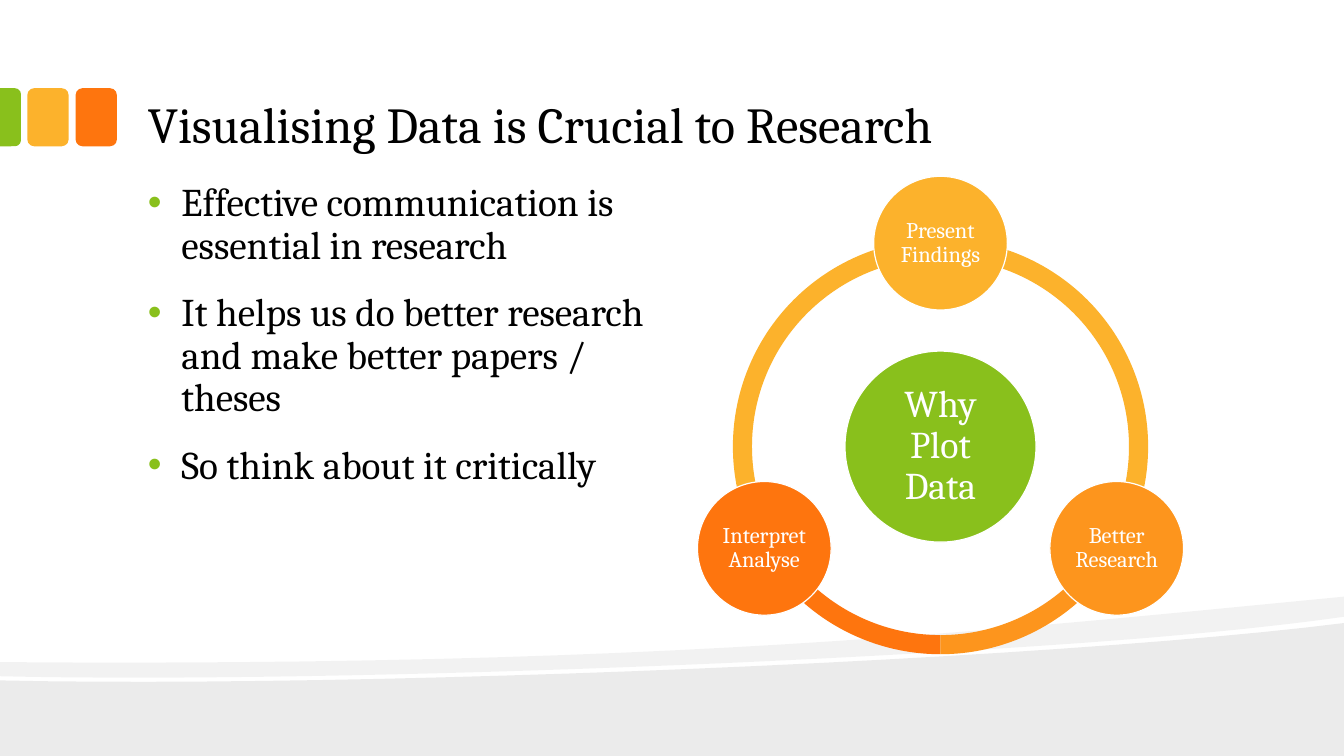
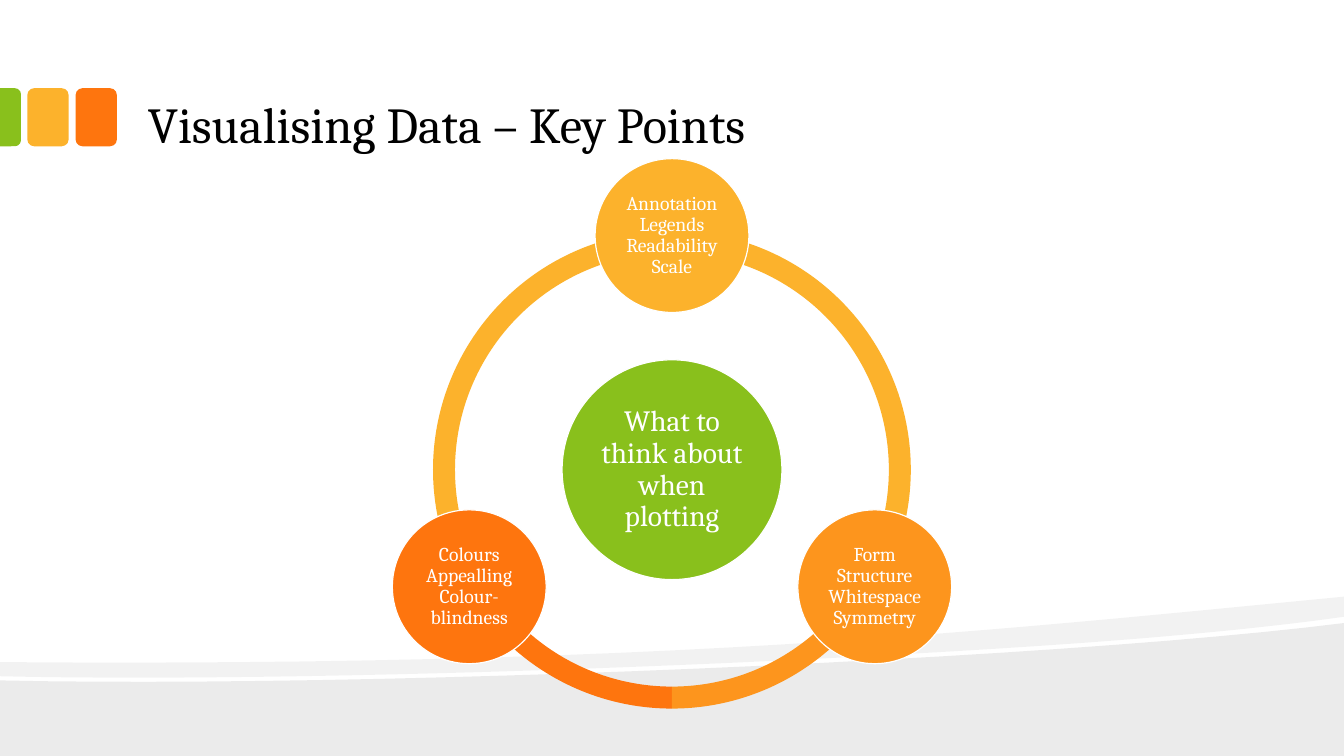
import math

import lxml.etree
import pptx
import pptx.dml.color
import pptx.enum.shapes
import pptx.enum.text
import pptx.oxml.ns
import pptx.util

Pt = pptx.util.Pt
SHAPE = pptx.enum.shapes.MSO_SHAPE
ALIGN = pptx.enum.text.PP_ALIGN
ANCHOR = pptx.enum.text.MSO_ANCHOR
FONT = "Cambria"
COLOURS = {
    "green": "89C01C",
    "yellow": "FCB22C",
    "amber": "FD951D",
    "orange": "FE750E",
    "black": "000000",
    "white": "FFFFFF",
}
SLIDE_WIDTH, SLIDE_HEIGHT = 960, 540
NODE_STYLES = [("yellow", -90), ("amber", 30), ("orange", 150)]
ARC_STYLES = [("orange", 90, 162), ("amber", 18, 90), ("yellow", 162, 18)]


def colour(name):
    return pptx.dml.color.RGBColor.from_string(COLOURS[name])


def add_run(paragraph, text, size, colour_name):
    run = paragraph.add_run()
    run.text = text
    run.font.name = FONT
    run.font.size = Pt(size)
    run.font.color.rgb = colour(colour_name)


def set_insets(frame, horizontal, vertical):
    frame.margin_left = frame.margin_right = Pt(horizontal)
    frame.margin_top = frame.margin_bottom = Pt(vertical)


def paint(shape, colour_name):
    shape.shadow.inherit = False
    shape.fill.solid()
    shape.fill.fore_color.rgb = colour(colour_name)
    shape.line.fill.background()


def add_preset(slide, kind, left, top, width, height, colour_name):
    shape = slide.shapes.add_shape(kind, Pt(left), Pt(top), Pt(width), Pt(height))
    paint(shape, colour_name)
    return shape


def curve(start, control_1, control_2, end, steps=24):
    points = []
    for step in range(steps + 1):
        t = step / steps
        weights = ((1 - t) ** 3, 3 * t * (1 - t) ** 2, 3 * t**2 * (1 - t), t**3)
        corners = (start, control_1, control_2, end)
        points.append(tuple(sum(w * c[axis] for w, c in zip(weights, corners)) for axis in (0, 1)))
    return points


def add_wave(slide, points, opacity):
    outline = [(Pt(x), Pt(y)) for x, y in points]
    builder = slide.shapes.build_freeform(*outline[0])
    builder.add_line_segments(outline[1:], close=True)
    shape = builder.convert_to_shape()
    paint(shape, "black")
    fill_colour = next(shape.element.iter(pptx.oxml.ns.qn("a:srgbClr")))
    alpha = lxml.etree.SubElement(fill_colour, pptx.oxml.ns.qn("a:alpha"))
    alpha.set("val", str(opacity * 1000))


def add_backdrop(slide):
    lower = curve((0, 486), (253.4, 491.8), (750.2, 471.6), (SLIDE_WIDTH, 445))
    add_wave(slide, lower + [(SLIDE_WIDTH, SLIDE_HEIGHT), (0, SLIDE_HEIGHT)], 8)
    upper = curve((0, 473), (469.4, 476.6), (699.1, 451.4), (SLIDE_WIDTH, 426.2))
    upper += curve((SLIDE_WIDTH, 440.6), (903.6, 448.6), (827.3, 455.8), (740.9, 461.5))
    upper += curve((740.9, 461.5), (502.6, 477.4), (185.8, 487.4), (0, 483.1))
    add_wave(slide, upper, 5)
    for left, name in ((54, "orange"), (19.5, "yellow")):
        add_preset(slide, SHAPE.ROUNDED_RECTANGLE, left, 63, 29.5, 41.5, name)
    tab = add_preset(slide, SHAPE.ROUND_2_SAME_RECTANGLE, -13.25, 76.25, 41.5, 15, "green")
    tab.adjustments[0] = 0.29
    tab.rotation = 90


def format_title(slide, text):
    title = slide.shapes.title
    title.left, title.top, title.width, title.height = Pt(96), Pt(12), Pt(768), Pt(102.5)
    frame = title.text_frame
    frame.auto_size = pptx.enum.text.MSO_AUTO_SIZE.NONE
    frame.vertical_anchor = ANCHOR.BOTTOM
    set_insets(frame, 9.6, 4.8)
    paragraph = frame.paragraphs[0]
    paragraph.alignment = ALIGN.LEFT
    add_run(paragraph, text, 36, "black")


def add_bullets(slide, items):
    box = slide.shapes.add_textbox(Pt(96), Pt(126), Pt(384), Pt(360))
    frame = box.text_frame
    frame.word_wrap = True
    set_insets(frame, 9.6, 4.8)
    for index, text in enumerate(items):
        paragraph = frame.add_paragraph() if index else frame.paragraphs[0]
        properties = paragraph._p.get_or_add_pPr()
        properties.set("marL", str(Pt(24)))
        properties.set("indent", str(-Pt(24)))
        bullet_colour = lxml.etree.SubElement(properties, pptx.oxml.ns.qn("a:buClr"))
        value = lxml.etree.SubElement(bullet_colour, pptx.oxml.ns.qn("a:srgbClr"))
        value.set("val", COLOURS["green"])
        font = lxml.etree.SubElement(properties, pptx.oxml.ns.qn("a:buFont"))
        font.set("typeface", "Arial")
        bullet = lxml.etree.SubElement(properties, pptx.oxml.ns.qn("a:buChar"))
        bullet.set("char", "•")
        paragraph.line_spacing = 0.9
        paragraph.space_before = Pt(18 if index else 0)
        add_run(paragraph, text, 28, "black")


def add_disc(slide, centre_x, centre_y, diameter, colour_name, text, size):
    left, top = centre_x - diameter / 2, centre_y - diameter / 2
    disc = add_preset(slide, SHAPE.OVAL, left, top, diameter, diameter, colour_name)
    disc.line.color.rgb = colour("white")
    disc.line.width = Pt(0.85)
    frame = disc.text_frame
    frame.word_wrap = True
    frame.vertical_anchor = ANCHOR.MIDDLE
    set_insets(frame, size / 10, size / 10)
    paragraph = frame.paragraphs[0]
    paragraph.alignment = ALIGN.CENTER
    paragraph.line_spacing = 0.9
    add_run(paragraph, text, size, "white")


def add_wheel(slide, centre_x, centre_y, diameter, hub_text, hub_size, node_texts, node_size):
    left, top = centre_x - diameter / 2, centre_y - diameter / 2
    for name, start, end in ARC_STYLES:
        arc = add_preset(slide, SHAPE.BLOCK_ARC, left, top, diameter, diameter, name)
        arc.adjustments[0] = start * 0.6
        arc.adjustments[1] = end * 0.6
        arc.adjustments[2] = 0.046
    hub_diameter = diameter * 0.46
    add_disc(slide, centre_x, centre_y, hub_diameter, "green", hub_text, hub_size)
    orbit = diameter * 0.49
    for (name, degrees), text in zip(NODE_STYLES, node_texts):
        x = centre_x + orbit * math.cos(math.radians(degrees))
        y = centre_y + orbit * math.sin(math.radians(degrees))
        add_disc(slide, x, y, hub_diameter * 0.7, name, text, node_size)


def add_titled_slide(presentation, title):
    slide = presentation.slides.add_slide(presentation.slide_layouts[5])
    add_backdrop(slide)
    format_title(slide, title)
    return slide


def main():
    presentation = pptx.Presentation()
    presentation.slide_width = Pt(SLIDE_WIDTH)
    presentation.slide_height = Pt(SLIDE_HEIGHT)

    slide = add_titled_slide(presentation, "Visualising Data is Crucial to Research")
    add_bullets(slide, [
        "Effective communication is essential in research",
        "It helps us do better research and make better papers / theses",
        "So think about it critically",
    ])
    add_wheel(slide, 671.8, 319, 296.6, "Why Plot Data", 27,
              ["Present Findings", "Better Research", "Interpret Analyse"], 16)

    slide = add_titled_slide(presentation, "Visualising Data – Key Points")
    add_wheel(slide, 480, 335.5, 341.3, "What to think about when plotting", 21,
              ["Annotation Legends Readability Scale",
               "Form Structure Whitespace Symmetry",
               "Colours Appealling Colour-blindness"], 14)

    presentation.save("out.pptx")


if __name__ == "__main__":
    main()
